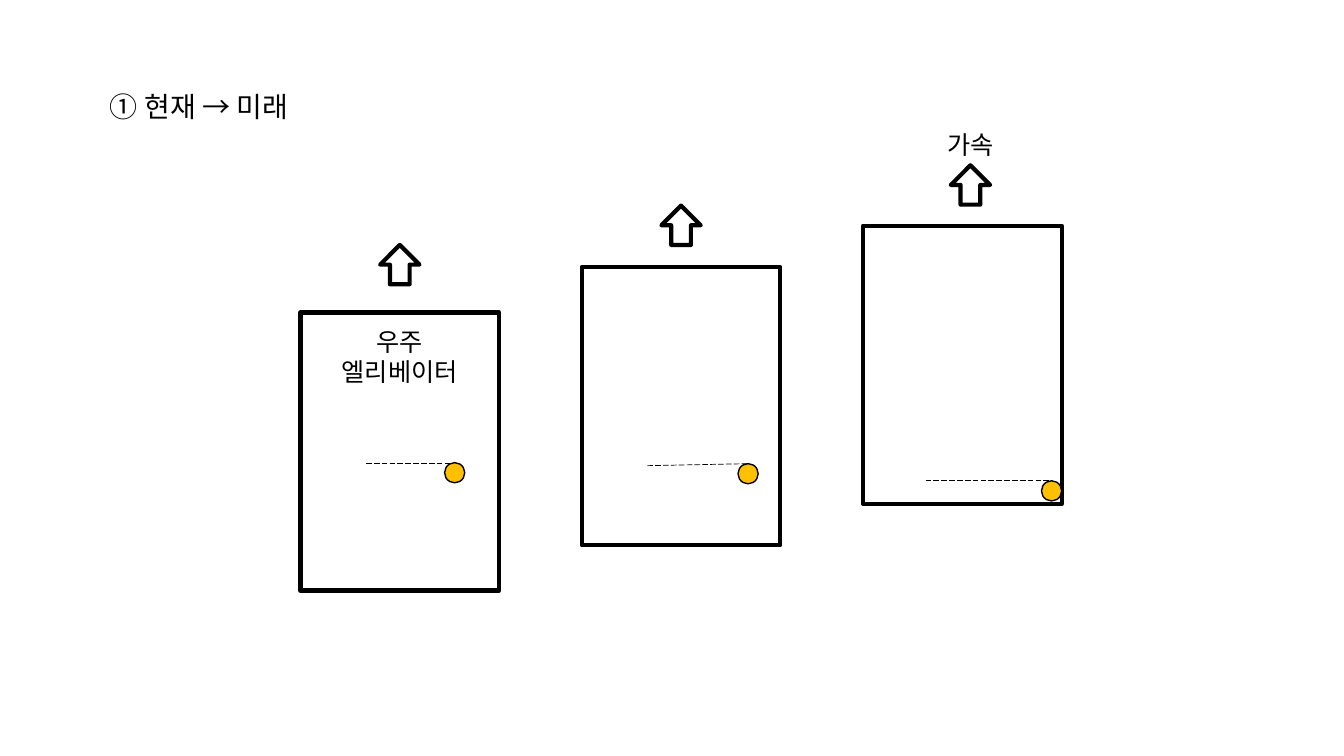
from pptx import Presentation
from pptx.dml.color import RGBColor
from pptx.enum.dml import MSO_LINE
from pptx.enum.shapes import MSO_CONNECTOR, MSO_SHAPE as SHAPE
from pptx.enum.text import MSO_ANCHOR, MSO_AUTO_SIZE, PP_ALIGN as ALIGN
from pptx.oxml.ns import qn
from pptx.util import Pt
from lxml import etree

PX = 9144  # 100 px to the inch
FONT = "Noto Sans CJK KR"
COLORS = {"ink": "000000", "paper": "FFFFFF", "ball": "FFC000"}

deck = Presentation()
deck.slide_width, deck.slide_height = 1333 * PX, 750 * PX
page = deck.slides.add_slide(deck.slide_layouts[5])


def write_text(box, text, left, top, width, height, size=18, align=ALIGN.CENTER):
    box.left, box.top, box.width, box.height = (
        n * PX for n in (left, top, width, height))
    frame = box.text_frame
    frame.word_wrap = True
    frame.auto_size = MSO_AUTO_SIZE.SHAPE_TO_FIT_TEXT
    frame.vertical_anchor = MSO_ANCHOR.TOP
    frame.text = text
    for para in frame.paragraphs:
        para.alignment = align
        for span in para.runs:
            span.font.size = Pt(size)
            span.font.name = FONT
            span.font.color.rgb = RGBColor.from_string(COLORS["ink"])
            east_asian = etree.SubElement(span.font._element, qn("a:ea"))
            east_asian.set("typeface", FONT)


def draw_shape(kind, left, top, width, height, fill=None, line=3):
    shape = page.shapes.add_shape(
        kind, left * PX, top * PX, width * PX, height * PX)
    shape.shadow.inherit = False
    if fill:
        shape.fill.solid()
        shape.fill.fore_color.rgb = RGBColor.from_string(COLORS[fill])
    else:
        shape.fill.background()
    shape.line.color.rgb = RGBColor.from_string(COLORS["ink"])
    shape.line.width = Pt(line)
    return shape


# Title
write_text(page.shapes.title, "① 현재 → 미래", 99, 84, 274, 44,
           size=20, align=ALIGN.LEFT)

# Elevators: car corner, arrow corner, light path (from, to), ball corner
elevators = [
    ((298, 310), (377, 243), (363, 460, 447, 460), (441, 459)),
    ((577, 265), (656, 204), (642, 462, 742, 460), (732, 460)),
    ((856, 224), (943, 164), (918, 477, 1041, 477), (1033, 477)),
]
for car, arrow, path_ends, ball in elevators:
    draw_shape(SHAPE.RECTANGLE, *car, 197, 276)
    draw_shape(SHAPE.RIGHT_ARROW, *arrow, 39, 39, fill="paper").rotation = 270

    trail = page.shapes.add_connector(
        MSO_CONNECTOR.STRAIGHT, *(n * PX for n in path_ends))
    trail.line.color.rgb = RGBColor.from_string(COLORS["ink"])
    trail.line.width = Pt(0.5)
    trail.line.dash_style = MSO_LINE.LONG_DASH
    etree.SubElement(trail._element.spPr, qn("a:effectLst"))

    draw_shape(SHAPE.OVAL, *ball, 20, 20, fill="ball", line=1)

# Labels
labels = [("우주\n엘리베이터", 320, 319, 153, 71), ("가속", 886, 123, 153, 40)]
for text, *place in labels:
    write_text(page.shapes.add_textbox(0, 0, 0, 0), text, *place)

deck.save("out.pptx")
